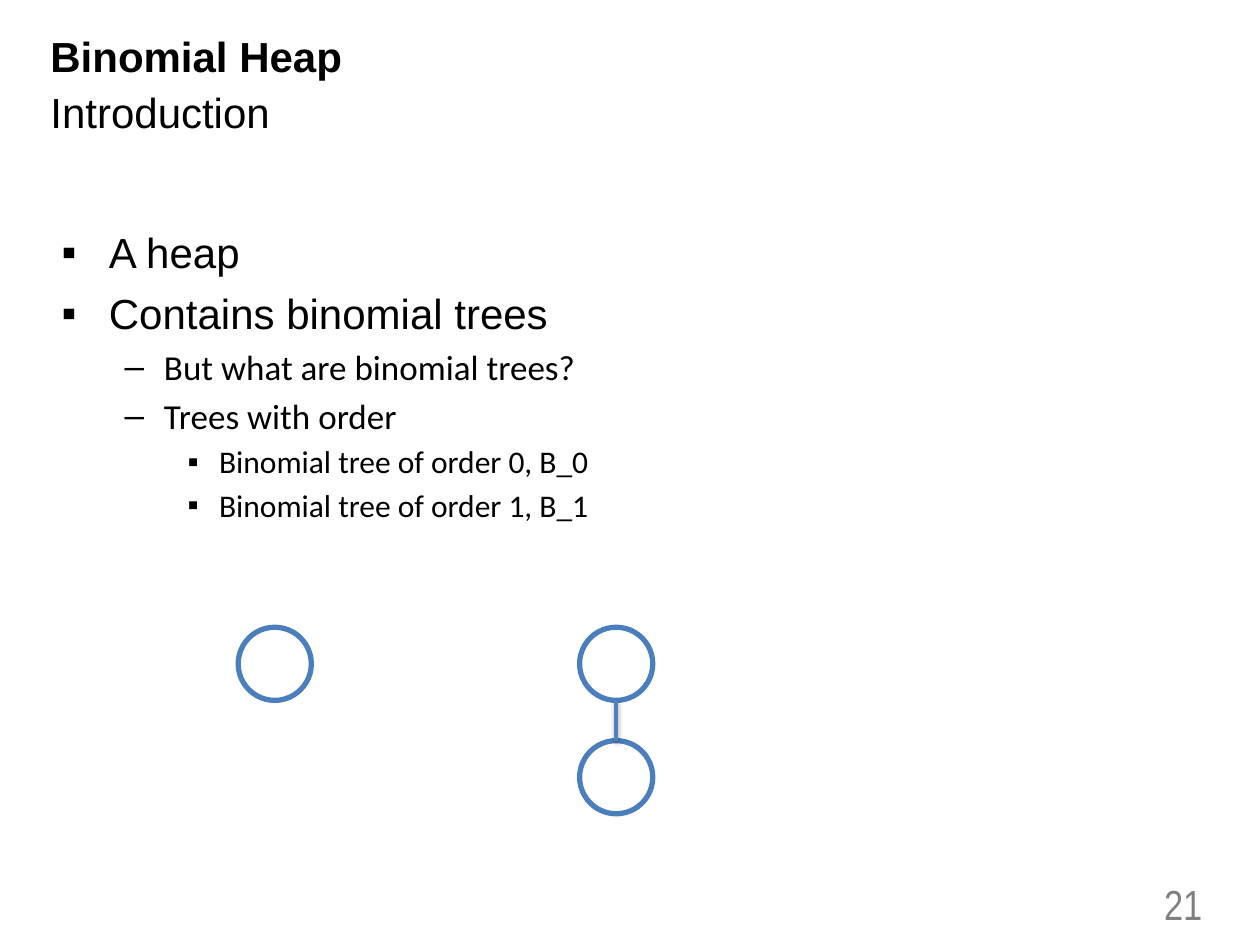
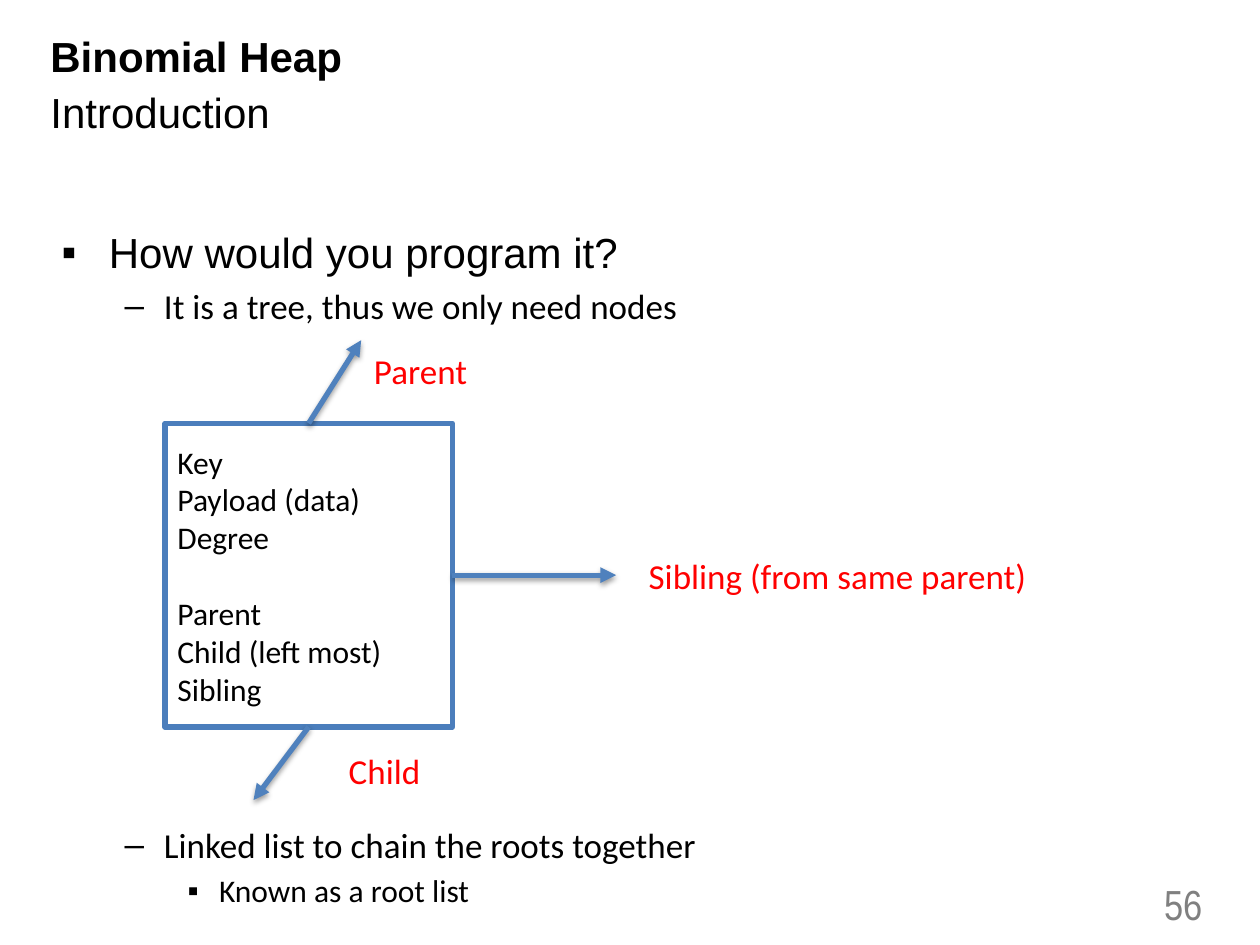
from dataclasses import dataclass
from typing import NamedTuple

from lxml import etree
from pptx import Presentation
from pptx.dml.color import RGBColor
from pptx.enum.shapes import MSO_CONNECTOR, MSO_SHAPE
from pptx.enum.text import MSO_ANCHOR, MSO_AUTO_SIZE, PP_ALIGN
from pptx.oxml import parse_xml
from pptx.oxml.ns import nsdecls, qn
from pptx.util import Pt

STRAIGHT = MSO_CONNECTOR.STRAIGHT
CIRCLE, RECTANGLE = MSO_SHAPE.OVAL, MSO_SHAPE.RECTANGLE
TOP, MIDDLE = MSO_ANCHOR.TOP, MSO_ANCHOR.MIDDLE
LEFT, RIGHT = PP_ALIGN.LEFT, PP_ALIGN.RIGHT
NO_FIT, FIT_SHAPE = MSO_AUTO_SIZE.NONE, MSO_AUTO_SIZE.SHAPE_TO_FIT_TEXT
SITE_TOP, SITE_BOTTOM, SITE_RIGHT = 0, 2, 3


class Box(NamedTuple):
    left: float
    top: float
    width: float
    height: float

    def lengths(self):
        return [Pt(value) for value in self]


class Level(NamedTuple):
    bullet: str
    margin: float
    hang: float
    font: str
    size: float
    before: float


@dataclass(frozen=True)
class Theme:
    ink: RGBColor = RGBColor(0x00, 0x00, 0x00)
    muted: RGBColor = RGBColor(0x80, 0x80, 0x80)
    accent: RGBColor = RGBColor(0xFF, 0x00, 0x00)
    outline: RGBColor = RGBColor(0x4B, 0x7E, 0xBC)
    link: RGBColor = RGBColor(0x4F, 0x81, 0xBD)
    heading_font: str = "Arial"
    text_font: str = "Calibri"
    number_font: str = "Arial Narrow"
    heading_size: float = 24
    label_size: float = 20
    field_size: float = 18
    thick: float = 3
    thin: float = 2
    levels: tuple = (
        Level("▪", 27, 27, "Arial", 24, 6),
        Level("–", 58.5, 22.5, "Calibri", 20, 4),
        Level("▪", 90, 18, "Calibri", 18, 3.5),
    )


THEME = Theme()
PAGE = Box(0, 0, 720, 540)
TITLE = Box(21.6, 17.3, 411, 61.2)
NUMBER = Box(598.3, 501.8, 95.8, 28.8)


# Text helpers
def add_span(para, text, font, size, color, bold=False):
    span = para.add_run()
    span.text = text
    span.font.name, span.font.size, span.font.bold = font, Pt(size), bold
    span.font.color.rgb = color


def next_para(frame, index):
    return frame.paragraphs[0] if index == 0 else frame.add_paragraph()


def place(shape, box):
    shape.left, shape.top, shape.width, shape.height = box.lengths()


def open_frame(placeholder, box):
    place(placeholder, box)
    frame = placeholder.text_frame
    frame.auto_size, frame.vertical_anchor = NO_FIT, TOP
    return frame


# Shared slide furniture
def fill_title(page, box, heading, subheading):
    frame = open_frame(page.shapes.title, box)
    for index, text in enumerate((heading, subheading)):
        para = next_para(frame, index)
        para.alignment, para.line_spacing = LEFT, 0.9
        para.space_before = Pt(6 * index)
        add_span(para, text, THEME.heading_font, THEME.heading_size, THEME.ink,
                 bold=index == 0)


def add_number(page, box, number):
    frame = page.shapes.add_textbox(*box.lengths()).text_frame
    frame.word_wrap, frame.vertical_anchor = True, MIDDLE
    para = frame.paragraphs[0]
    para.alignment = RIGHT
    add_span(para, str(number), THEME.number_font, THEME.heading_size, THEME.muted)


def fill_list(page, box, items):
    """Each item is level, text and any extra gap above it."""
    frame = open_frame(page.placeholders[1], box)
    for index, (depth, text, gap) in enumerate(items):
        level = THEME.levels[depth]
        para = next_para(frame, index)
        para.level = depth
        properties = para._p.get_or_add_pPr()
        properties.set("marL", str(Pt(level.margin)))
        properties.set("indent", str(-Pt(level.hang)))
        etree.SubElement(properties, qn("a:buFont"), typeface="Arial")
        etree.SubElement(properties, qn("a:buChar"), char=level.bullet)
        para.space_before = Pt(level.before + gap if index else 0)
        add_span(para, text, level.font, level.size, THEME.ink)


def start_page(deck, number, body, items):
    page = deck.slides.add_slide(deck.slide_layouts[1])
    add_number(page, NUMBER, number)
    fill_list(page, body, items)
    fill_title(page, TITLE, "Binomial Heap", "Introduction")
    return page


# Diagram helpers
def add_outline(page, kind, box):
    shape = page.shapes.add_shape(kind, *box.lengths())
    shape.shadow.inherit = False
    shape.fill.background()
    shape.line.color.rgb, shape.line.width = THEME.outline, Pt(THEME.thick)
    return shape


def add_link(page, start, site, end, width, arrow=False):
    link = page.shapes.add_connector(STRAIGHT, 0, 0, *[Pt(value) for value in end])
    link.begin_connect(start, site)
    link.line.color.rgb, link.line.width = THEME.link, Pt(width)
    if arrow:
        etree.SubElement(link.line._get_or_add_ln(), qn("a:tailEnd"), type="triangle")
    link._element.spPr.append(parse_xml(
        f'<a:effectLst {nsdecls("a")}><a:outerShdw blurRad="{Pt(3.1)}" '
        f'dist="{Pt(1.6)}" dir="5400000" rotWithShape="0"><a:srgbClr val="000000">'
        '<a:alpha val="38000"/></a:srgbClr></a:outerShdw></a:effectLst>'))


def add_label(page, box, text):
    frame = page.shapes.add_textbox(*box.lengths()).text_frame
    frame.word_wrap, frame.auto_size = False, FIT_SHAPE
    add_span(frame.paragraphs[0], text, THEME.text_font, THEME.label_size, THEME.accent)


# Trees of order 0 and order 1
def draw_trees(page, box):
    size, step = 41.8, 64.8
    right = box.left + box.width - size
    add_outline(page, CIRCLE, Box(box.left, box.top, size, size))
    root = add_outline(page, CIRCLE, Box(right, box.top, size, size))
    add_outline(page, CIRCLE, Box(right, box.top + step, size, size))
    add_link(page, root, SITE_BOTTOM, (right + size / 2, box.top + step), THEME.thin)


# Heap node with its fields and three pointers
def draw_node(page, box):
    node = add_outline(page, RECTANGLE, box)
    node.text_frame.vertical_anchor = MIDDLE
    groups = (("Key", "Payload (data)", "Degree"),
              ("Parent", "Child (left most)", "Sibling"))
    fields = [(text, group and not row) for group, names in enumerate(groups)
              for row, text in enumerate(names)]
    for index, (text, opens_group) in enumerate(fields):
        para = next_para(node.text_frame, index)
        para.alignment = LEFT
        para.space_before = Pt(22 if opens_group else 0)
        add_span(para, text, THEME.text_font, THEME.field_size, THEME.ink)

    center, middle = box.left + box.width / 2, box.top + box.height / 2
    right, bottom = box.left + box.width, box.top + box.height
    pointers = (
        ("Parent", SITE_TOP, (center + 30, box.top - 47.5),
         Box(center + 30.2, box.top - 46, 68.4, 31.5)),
        ("Child", SITE_BOTTOM, (center - 31.5, bottom + 41.8),
         Box(center + 15.8, bottom + 9.4, 56.2, 31.5)),
        ("Sibling (from same parent)", SITE_RIGHT, (right + 93.6, middle),
         Box(right + 105.1, middle - 15.5, 232.6, 31.5)),
    )
    for text, site, end, label_box in pointers:
        add_link(page, node, site, end, THEME.thick, arrow=True)
        add_label(page, label_box, text)


def main():
    deck = Presentation()
    deck.slide_width, deck.slide_height = Pt(PAGE.width), Pt(PAGE.height)

    page = start_page(deck, 21, Box(28, 126, 648, 356.4), (
        (0, "A heap", 0),
        (0, "Contains binomial trees", 0),
        (1, "But what are binomial trees?", 0),
        (1, "Trees with order", 0),
        (2, "Binomial tree of order 0, B_0", 0),
        (2, "Binomial tree of order 1, B_1", 0),
    ))
    draw_trees(page, Box(136.1, 358.4, 236.9, 106.6))

    page = start_page(deck, 56, Box(28, 126, 648, 406), (
        (0, "How would you program it?", 0),
        (1, "It is a tree, thus we only need nodes", 0),
        (1, "Linked list to chain the roots together", 280),
        (2, "Known as a root list", 0),
    ))
    draw_node(page, Box(94.3, 241.9, 164.2, 173.5))

    deck.save("out.pptx")


if __name__ == "__main__":
    main()
